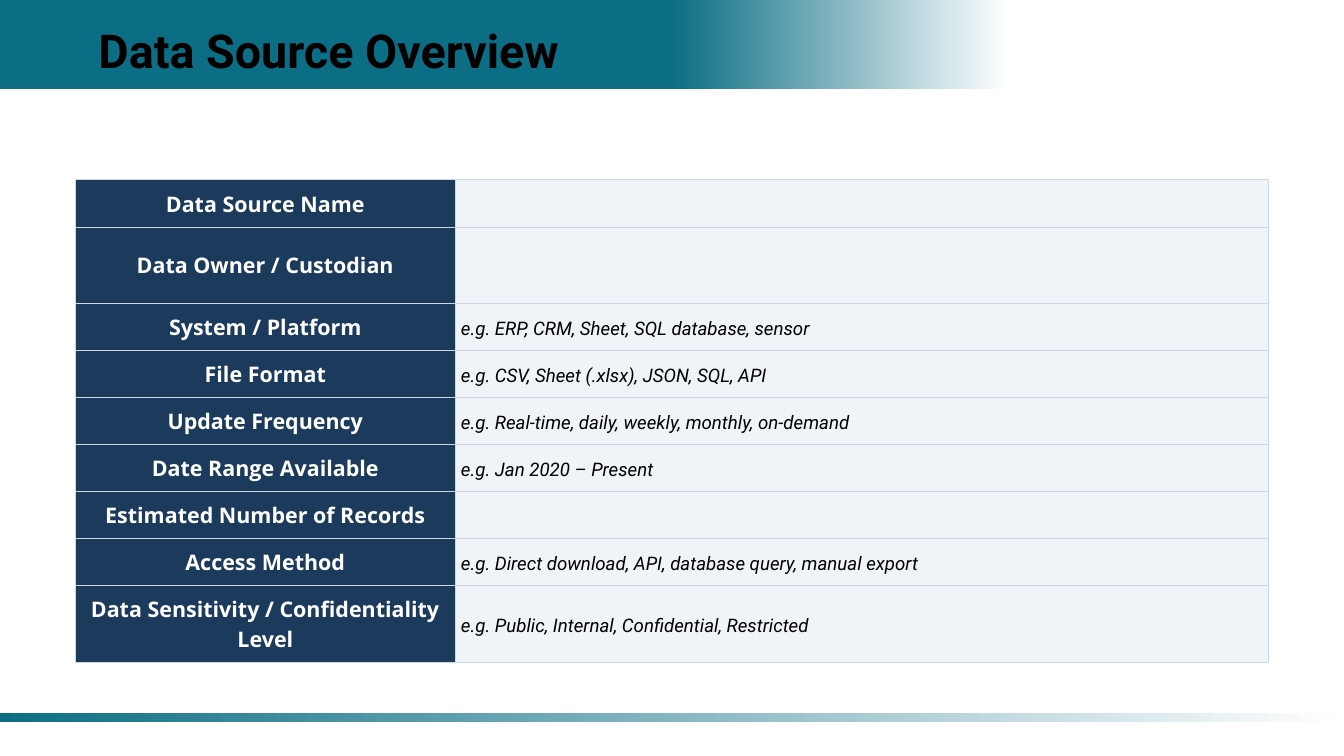
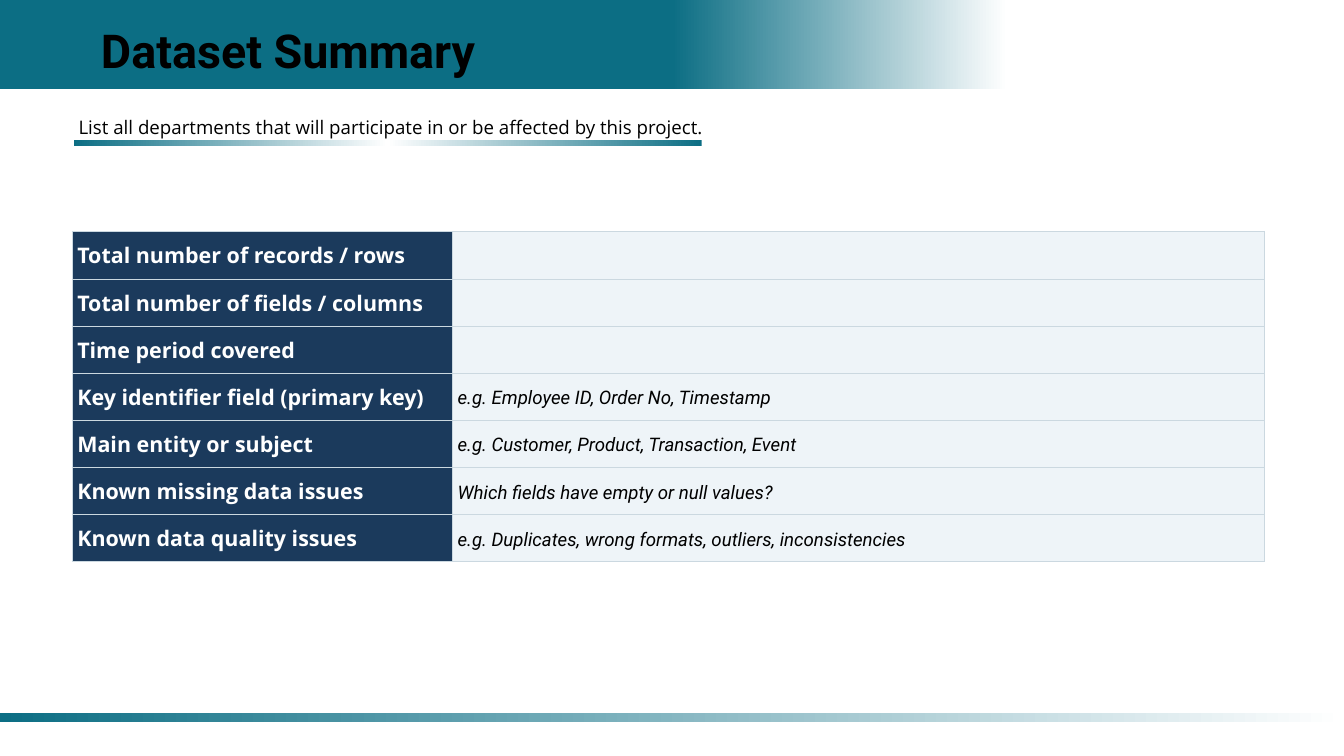
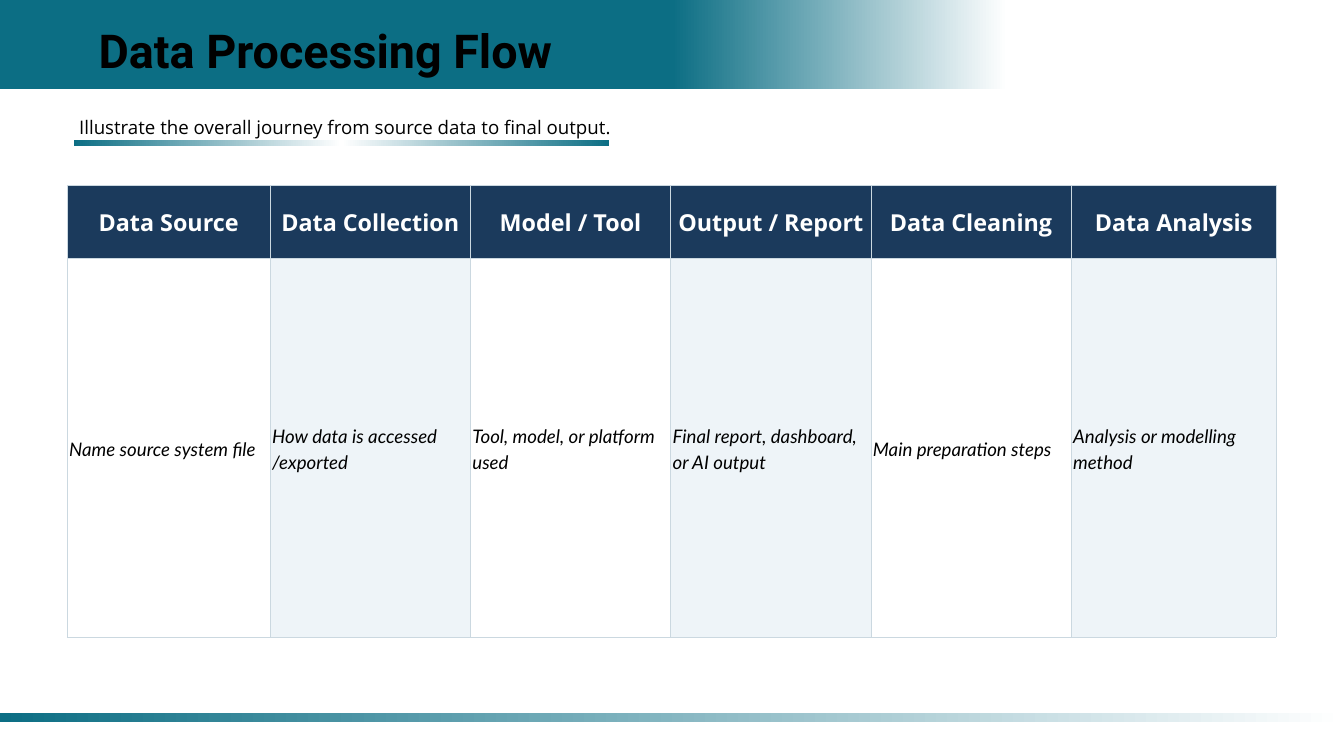
from dataclasses import dataclass, replace
from typing import Optional

from lxml import etree
from pptx import Presentation
from pptx.dml.color import RGBColor
from pptx.enum.shapes import MSO_SHAPE
from pptx.enum.text import MSO_ANCHOR, MSO_AUTO_SIZE, PP_ALIGN
from pptx.oxml.ns import qn
from pptx.util import Inches, Pt

LEFT, CENTER = PP_ALIGN.LEFT, PP_ALIGN.CENTER
TOP, MIDDLE = MSO_ANCHOR.TOP, MSO_ANCHOR.MIDDLE
RECTANGLE = MSO_SHAPE.RECTANGLE
NO_AUTOFIT = MSO_AUTO_SIZE.NONE

COLORS = {
    "teal": "0C6E84",
    "white": "FFFFFF",
    "black": "000000",
    "navy": "1B3A5C",
    "mist": "EEF4F8",
    "border": "CBD8E0",
}
TITLE_ONLY = 5
SLIDE_WIDTH = 20


@dataclass(frozen=True)
class TextStyle:
    font: str
    size: float
    line_spacing: float
    color: str = "black"
    bold: bool = False
    italic: bool = False
    align: PP_ALIGN = LEFT


@dataclass(frozen=True)
class Band:
    left: float
    top: float
    width: float
    height: float
    stops: tuple[tuple[int, str], ...]


@dataclass(frozen=True)
class Cell:
    text: str
    style: TextStyle
    fill: Optional[str] = None


@dataclass(frozen=True)
class Grid:
    left: float
    top: float
    columns: list[float]
    heights: list[float]
    inset: float
    border: float


TITLE = TextStyle("Roboto", 50, 70, bold=True, align=CENTER)
INSTRUCTION = TextStyle("Open Sans", 20, 28, align=CENTER)
FIELD = TextStyle("Open Sans", 23, 32.2, "white", bold=True)
CENTERED_FIELD = replace(FIELD, align=CENTER)
EXAMPLE = TextStyle("Roboto", 20, 28, italic=True)
STAGE = TextStyle("Open Sans", 25, 35, "white", bold=True, align=CENTER)
STAGE_NOTE = replace(EXAMPLE, font="Lato")

HEADER_BAND = Band(0, 0, SLIDE_WIDTH, 1.32, (
    (0, "teal"), (25, "teal"), (50, "teal"), (75, "white"), (100, "white")))
FOOTER_BAND = Band(0, 10.61, SLIDE_WIDTH, 0.14, ((0, "teal"), (100, "white")))
UNDERLINE_STOPS = ((0, "teal"), (50, "white"), (100, "teal"))

FORM_COLUMNS = [5.66, 12.09]

SOURCE_FIELDS = [
    ("Data Source Name", ""),
    ("Data Owner / Custodian", ""),
    ("System / Platform", "e.g. ERP, CRM, Sheet, SQL database, sensor"),
    ("File Format", "e.g. CSV, Sheet (.xlsx), JSON, SQL, API"),
    ("Update Frequency", "e.g. Real-time, daily, weekly, monthly, on-demand"),
    ("Date Range Available", "e.g. Jan 2020 – Present"),
    ("Estimated Number of Records", ""),
    ("Access Method", "e.g. Direct download, API, database query, manual export"),
    ("Data Sensitivity / Confidentiality Level",
     "e.g. Public, Internal, Confidential, Restricted"),
]
SUMMARY_FIELDS = [
    ("Total number of records / rows", ""),
    ("Total number of fields / columns", ""),
    ("Time period covered", ""),
    ("Key identifier field (primary key)", "e.g. Employee ID, Order No, Timestamp"),
    ("Main entity or subject", "e.g. Customer, Product, Transaction, Event"),
    ("Known missing data issues", "Which fields have empty or null values?"),
    ("Known data quality issues",
     "e.g. Duplicates, wrong formats, outliers, inconsistencies"),
]
STAGES = [
    ("Data Source", "Name source system file"),
    ("Data Collection", "How data is accessed /exported"),
    ("Model / Tool", "Tool, model, or platform used"),
    ("Output / Report", "Final report, dashboard, or AI output"),
    ("Data Cleaning", "Main preparation steps"),
    ("Data Analysis", "Analysis or modelling method"),
]


def rgb(name: str) -> RGBColor:
    return RGBColor.from_string(COLORS[name])


def write_text(frame, text: str, style: TextStyle) -> None:
    frame.text = text
    paragraph = frame.paragraphs[0]
    paragraph.alignment = style.align
    paragraph.line_spacing = Pt(style.line_spacing)
    font = paragraph.font
    font.name = style.font
    font.size = Pt(style.size)
    font.bold = style.bold
    font.italic = style.italic
    font.color.rgb = rgb(style.color)


def fit_frame(frame) -> None:
    frame.margin_left = frame.margin_right = 0
    frame.margin_top = frame.margin_bottom = 0
    frame.word_wrap = True
    frame.auto_size = NO_AUTOFIT
    frame.vertical_anchor = TOP


def draw_band(slide, band: Band) -> None:
    strip = slide.shapes.add_shape(
        RECTANGLE, Inches(band.left), Inches(band.top),
        Inches(band.width), Inches(band.height))
    strip.shadow.inherit = False
    strip.line.fill.background()
    strip.fill.gradient()
    strip.fill.gradient_angle = 0
    stop_list = strip.element.spPr.find(".//" + qn("a:gsLst"))
    for stop in list(stop_list):
        stop_list.remove(stop)
    for position, color in band.stops:
        stop = etree.SubElement(stop_list, qn("a:gs"), pos=str(position * 1000))
        etree.SubElement(stop, qn("a:srgbClr"), val=COLORS[color])


def start_slide(deck, heading: str, heading_width: float):
    slide = deck.slides.add_slide(deck.slide_layouts[TITLE_ONLY])
    draw_band(slide, HEADER_BAND)
    draw_band(slide, FOOTER_BAND)
    title = slide.shapes.title
    title.left, title.top = Inches(1.12), Inches(0.18)
    title.width, title.height = Inches(heading_width), Inches(0.94)
    fit_frame(title.text_frame)
    write_text(title.text_frame, heading, TITLE)
    slide.shapes.element.append(title.element)
    return slide


def draw_instruction(slide, text: str, text_width: float, line_width: float) -> None:
    instruction = slide.shapes.add_textbox(
        Inches(1.07), Inches(1.67), Inches(text_width), Inches(0.37))
    fit_frame(instruction.text_frame)
    write_text(instruction.text_frame, text, INSTRUCTION)
    draw_band(slide, Band(1.1, 2.09, line_width, 0.09, UNDERLINE_STOPS))


def set_borders(table_cell, width: float) -> None:
    properties = table_cell._tc.get_or_add_tcPr()
    for index, side in enumerate(("a:lnL", "a:lnR", "a:lnT", "a:lnB")):
        edge = etree.Element(qn(side), w=str(Pt(width)))
        solid = etree.SubElement(edge, qn("a:solidFill"))
        etree.SubElement(solid, qn("a:srgbClr"), val=COLORS["border"])
        properties.insert(index, edge)


def draw_cell(table_cell, cell: Cell, grid: Grid) -> None:
    inset = Inches(grid.inset)
    table_cell.margin_left = table_cell.margin_right = inset
    table_cell.margin_top = table_cell.margin_bottom = inset
    table_cell.vertical_anchor = MIDDLE
    if cell.fill:
        table_cell.fill.solid()
        table_cell.fill.fore_color.rgb = rgb(cell.fill)
    else:
        table_cell.fill.background()
    set_borders(table_cell, grid.border)
    if cell.text:
        write_text(table_cell.text_frame, cell.text, cell.style)


def draw_grid(slide, grid: Grid, rows: list[list[Cell]]):
    table = slide.shapes.add_table(
        len(grid.heights), len(grid.columns), Inches(grid.left), Inches(grid.top),
        Inches(sum(grid.columns)), Inches(sum(grid.heights))).table
    table.first_row = table.horz_banding = False
    for column, width in zip(table.columns, grid.columns):
        column.width = Inches(width)
    for row, height, cells in zip(table.rows, grid.heights, rows):
        row.height = Inches(height)
        for table_cell, cell in zip(row.cells, cells):
            draw_cell(table_cell, cell, grid)
    return table


def draw_form(slide, left: float, top: float, heights: list[float],
              fields: list[tuple[str, str]], field_style: TextStyle) -> None:
    rows = [[Cell(field, field_style, "navy"), Cell(example, EXAMPLE, "mist")]
            for field, example in fields]
    draw_grid(slide, Grid(left, top, FORM_COLUMNS, heights, 0.08, 0.5), rows)


def build_source_overview(deck) -> None:
    slide = start_slide(deck, "Data Source Overview", 7.55)
    heights = [0.71, 1.13] + [0.7] * 6 + [1.14]
    draw_form(slide, 1.12, 2.67, heights, SOURCE_FIELDS, CENTERED_FIELD)


def build_dataset_summary(deck) -> None:
    slide = start_slide(deck, "Dataset Summary", 6.34)
    draw_form(slide, 1.07, 3.44, [0.71] + [0.7] * 6, SUMMARY_FIELDS, FIELD)
    draw_instruction(
        slide,
        "List all departments that will participate in or be affected by this project.",
        9.49, 9.34)


def build_processing_flow(deck) -> None:
    slide = start_slide(deck, "Data Processing Flow", 7.45)
    draw_instruction(
        slide, "Illustrate the overall journey from source data to final output.",
        8.13, 7.97)
    heights = [1.09, 1.41, 1.41, 1.28, 1.53]
    headers = [Cell(stage, STAGE, "navy") for stage, _ in STAGES]
    notes = [Cell(note, STAGE_NOTE, "mist" if index % 2 else None)
             for index, (_, note) in enumerate(STAGES)]
    continuation = [replace(note, text="") for note in notes]
    rows = [headers, notes] + [continuation] * 3
    columns = [3.02] + [2.98] * 4 + [3.05]
    flow = draw_grid(slide, Grid(1, 2.76, columns, heights, 0.03, 0.75), rows)
    for index in range(len(STAGES)):
        flow.cell(1, index).merge(flow.cell(len(heights) - 1, index))


def main() -> None:
    deck = Presentation()
    deck.slide_width = Inches(SLIDE_WIDTH)
    deck.slide_height = Inches(11.25)
    build_source_overview(deck)
    build_dataset_summary(deck)
    build_processing_flow(deck)
    deck.save("out.pptx")


if __name__ == "__main__":
    main()
